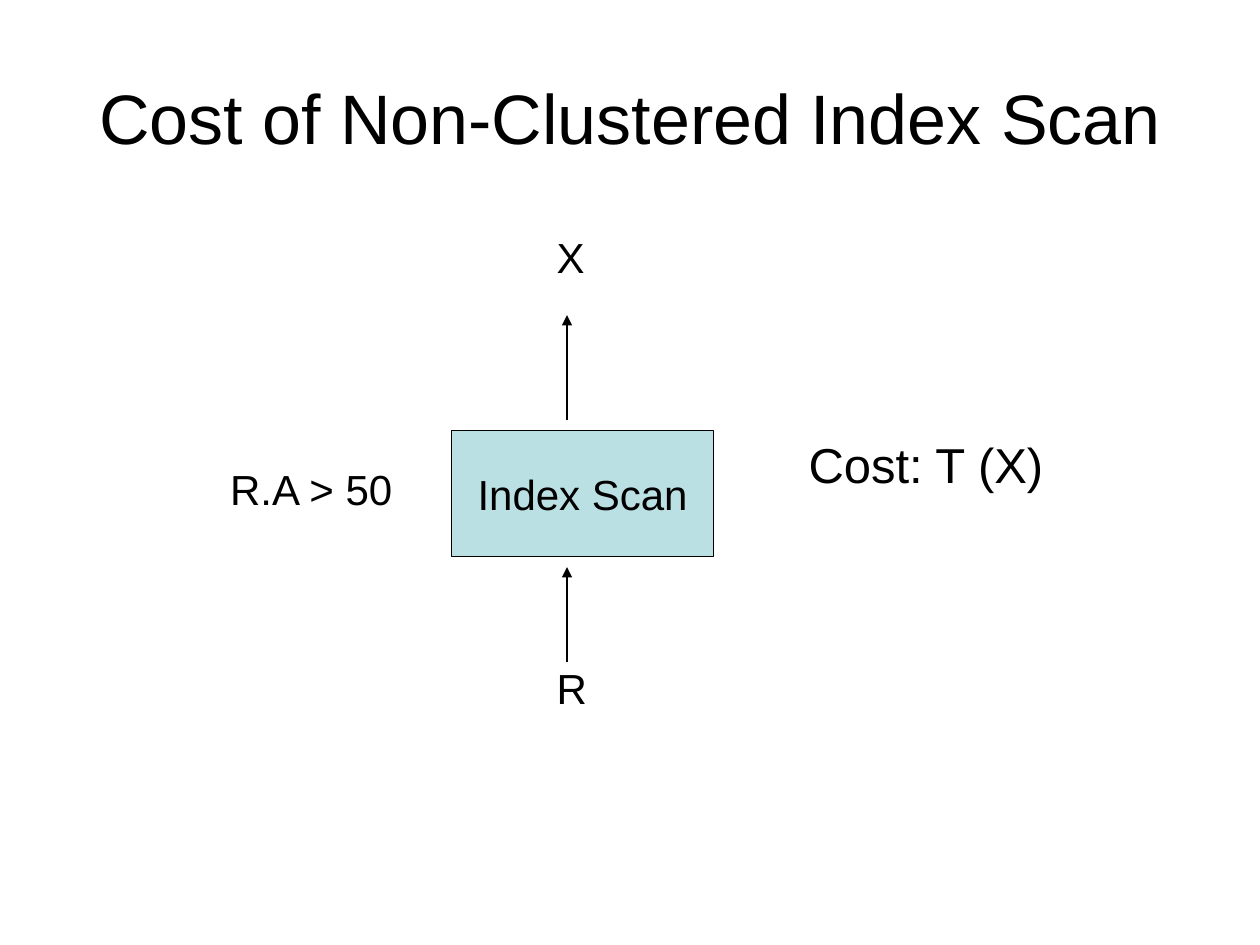
from pptx import Presentation
from pptx import util as u
from pptx.dml.color import RGBColor
from pptx.enum import shapes, text
from pptx.oxml import ns
from lxml import etree

BLACK = RGBColor(0x00, 0x00, 0x00)
TEAL = RGBColor(0xBB, 0xE0, 0xE3)


class Board:
    """Holds the style and the current slide, and draws each kind of element."""

    def __init__(self, deck):
        self.font = "Arial"
        self.width = u.Pt(0.75)
        self.slide = deck.slides.add_slide(deck.slide_layouts[5])

    def letter(self, shape, words, size, align, anchor, wrap=False):
        frame = shape.text_frame
        frame.text = words
        frame.word_wrap = wrap
        frame.vertical_anchor = anchor
        para = frame.paragraphs[0]
        para.alignment = align
        font = para.runs[0].font
        font.name, font.size = self.font, u.Pt(size)
        font.color.rgb = BLACK

    def title(self, words, x, y, w, h):
        head = self.slide.shapes.title
        head.left, head.top = u.Cm(x), u.Cm(y)
        head.width, head.height = u.Cm(w), u.Cm(h)
        self.letter(head, words, 40, text.PP_ALIGN.CENTER,
                    text.MSO_ANCHOR.MIDDLE, True)
        head.text_frame.auto_size = text.MSO_AUTO_SIZE.NONE

    def label(self, words, x, y, w, h=1.27, size=24):
        box = self.slide.shapes.add_textbox(u.Cm(x), u.Cm(y), u.Cm(w), u.Cm(h))
        self.letter(box, words, size, text.PP_ALIGN.LEFT, text.MSO_ANCHOR.TOP)
        box.text_frame.auto_size = text.MSO_AUTO_SIZE.SHAPE_TO_FIT_TEXT

    def block(self, words, x, y, w, h):
        box = self.slide.shapes.add_shape(
            shapes.MSO_SHAPE.RECTANGLE, u.Cm(x), u.Cm(y), u.Cm(w), u.Cm(h))
        box.shadow.inherit = False
        box.fill.solid()
        box.fill.fore_color.rgb = TEAL
        box.line.color.rgb = BLACK
        box.line.width = self.width
        self.letter(box, words, 24, text.PP_ALIGN.CENTER, text.MSO_ANCHOR.MIDDLE)

    def arrow(self, x, start, end):
        link = self.slide.shapes.add_connector(
            shapes.MSO_CONNECTOR.STRAIGHT, u.Cm(x), u.Cm(start), u.Cm(x), u.Cm(end))
        link.line.color.rgb = BLACK
        link.line.width = self.width
        props = link._element.spPr
        tip = etree.SubElement(props.find(ns.qn("a:ln")), ns.qn("a:tailEnd"))
        tip.set("type", "triangle")
        etree.SubElement(props, ns.qn("a:effectLst"))


def main():
    """Build the slide and save it."""
    deck = Presentation()
    deck.slide_width, deck.slide_height = u.Cm(25.4), u.Cm(19.05)
    board = Board(deck)
    board.title("Cost of Non-Clustered Index Scan", 1.27, 0.76, 22.86, 3.18)
    board.block("Index Scan", 9.1, 8.68, 5.29, 2.54)
    board.label("R", 10.97, 13.23, 1.12)
    for start, end in ((13.34, 11.43), (8.46, 6.35)):
        board.arrow(11.43, start, end)
    board.label("Cost: T (X)", 16.05, 8.64, 5.26, 1.45, 28)
    board.label("R.A > 50", 4.39, 9.22, 3.81)
    board.label("X", 10.97, 4.55, 1.07)
    deck.save("out.pptx")


if __name__ == "__main__":
    main()
